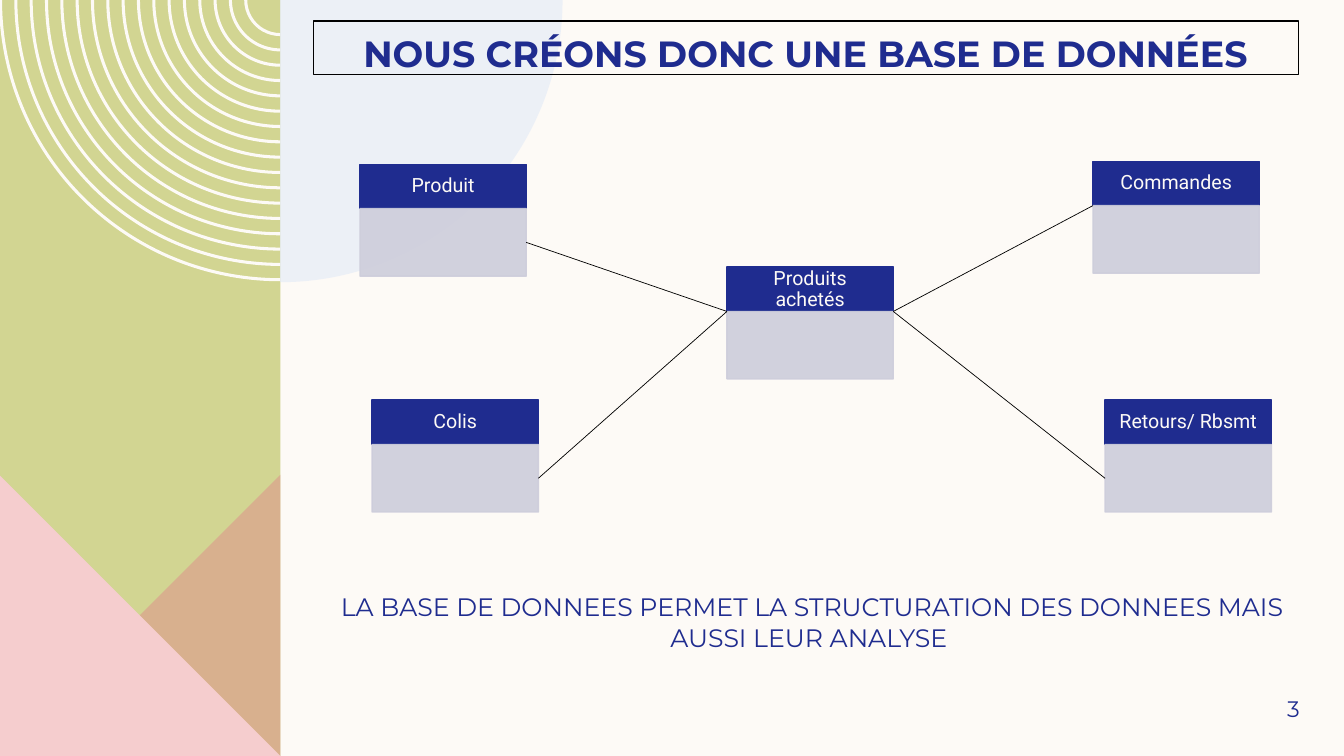
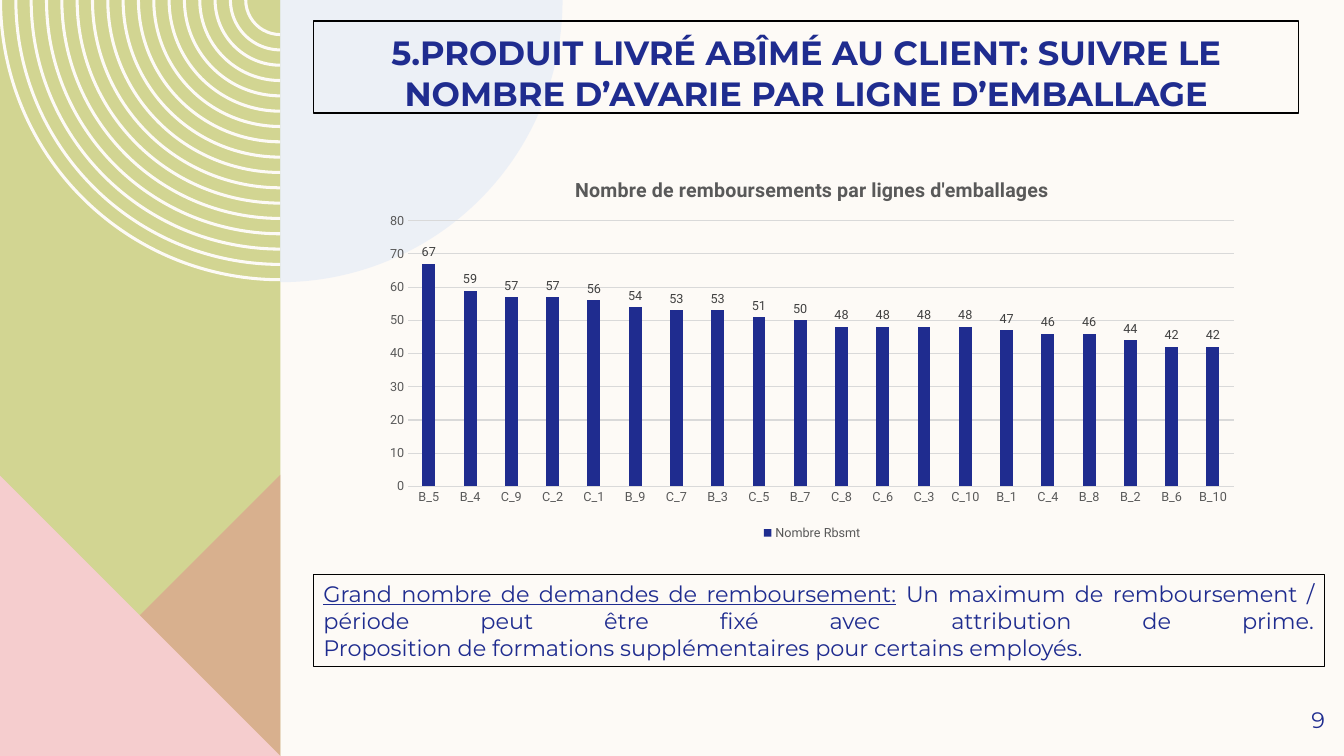
from lxml import etree
from pptx import Presentation
from pptx.chart.data import CategoryChartData
from pptx.dml.color import RGBColor
from pptx.enum.chart import XL_CHART_TYPE, XL_LABEL_POSITION, XL_LEGEND_POSITION, XL_TICK_MARK
from pptx.enum.shapes import MSO_CONNECTOR, MSO_SHAPE
from pptx.enum.text import MSO_ANCHOR, PP_ALIGN
from pptx.oxml.ns import qn
from pptx.util import Inches, Pt

CENTER, RIGHT, JUSTIFY = PP_ALIGN.CENTER, PP_ALIGN.RIGHT, PP_ALIGN.JUSTIFY
TOP, MIDDLE, BOTTOM = MSO_ANCHOR.TOP, MSO_ANCHOR.MIDDLE, MSO_ANCHOR.BOTTOM
RECTANGLE, STRAIGHT = MSO_SHAPE.RECTANGLE, MSO_CONNECTOR.STRAIGHT
COLUMNS = XL_CHART_TYPE.COLUMN_CLUSTERED
OUTSIDE_END = XL_LABEL_POSITION.OUTSIDE_END
LEGEND_BOTTOM = XL_LEGEND_POSITION.BOTTOM
NO_TICK = XL_TICK_MARK.NONE
LEFT_SIDE, RIGHT_SIDE = 1, 3

COLORS = {
    "cream": "FDFAF6", "green": "D2D592", "rose": "DE8C8C", "pink": "F5CDCE",
    "sky": "DDE7F6", "navy": "1F2C8F", "gray": "CDCDDB", "black": "000000",
    "axis": "595959", "grid": "D9D9D9", "label": "404040",
}
TITLE_FONT, LABEL_FONT = "Montserrat", "Roboto"
BAND_RIGHT = 2.78
ENTITY_WIDTH, HEADER_HEIGHT, BODY_HEIGHT = 1.65, 0.44, 0.67

ENTITIES = {
    "Produit": (3.57, 1.63),
    "Colis": (3.69, 3.97),
    "Produits achetés": (7.21, 2.65),
    "Commandes": (10.84, 1.6),
    "Retours/ Rbsmt": (10.96, 3.97),
}
REFUNDS = {
    "B_5": 67, "B_4": 59, "C_9": 57, "C_2": 57, "C_1": 56, "B_9": 54, "C_7": 53,
    "B_3": 53, "C_5": 51, "B_7": 50, "C_8": 48, "C_6": 48, "C_3": 48, "C_10": 48,
    "B_1": 47, "C_4": 46, "B_8": 46, "B_2": 44, "B_6": 42, "B_10": 42,
}


def rgb(name):
    return RGBColor.from_string(COLORS[name])


def style_font(font, size, color, name=TITLE_FONT, bold=False):
    font.size, font.name, font.bold = Pt(size), name, bold
    font.color.rgb = rgb(color)


def paint(shape, fill=None, line=None, opacity=100):
    """Set fill and outline by colour name; None means no paint."""
    shape.shadow.inherit = False
    if fill:
        shape.fill.solid()
        shape.fill.fore_color.rgb = rgb(fill)
    else:
        shape.fill.background()
    if line:
        shape.line.color.rgb = rgb(line)
        shape.line.width = Pt(1)
    else:
        shape.line.fill.background()
    if opacity < 100:
        for color in shape.element.spPr.iter(qn("a:srgbClr")):
            etree.SubElement(color, qn("a:alpha"), val=str(opacity * 1000))


def add_box(page, left, top, width, height, **colors):
    box = page.shapes.add_shape(RECTANGLE, Inches(left), Inches(top), Inches(width), Inches(height))
    paint(box, **colors)
    return box


def set_frame(box, anchor, margins=(0.1, 0.05, 0.1, 0.05)):
    """Prepare the text frame and return its first paragraph."""
    frame = box.text_frame
    frame.word_wrap = True
    frame.vertical_anchor = anchor
    (frame.margin_left, frame.margin_top,
     frame.margin_right, frame.margin_bottom) = map(Inches, margins)
    return frame.paragraphs[0]


def write(box, text, size, color="navy", align=CENTER, anchor=TOP, name=TITLE_FONT,
          bold=False, **frame_options):
    para = set_frame(box, anchor, **frame_options)
    para.text = text
    para.alignment = align
    style_font(para.font, size, color, name, bold)
    return para


def add_text(page, left, top, width, height, text, size, **options):
    box = page.shapes.add_textbox(Inches(left), Inches(top), Inches(width), Inches(height))
    write(box, text, size, **options)


def add_outline(page, contours, fill, opacity=100):
    """Draw closed contours as one shape.

    A point is (x, y), or (x, y, radius, start, sweep) when an arc leads to it;
    lengths are in inches and angles in degrees.
    """
    points = [[(Inches(point[0]), Inches(point[1])) for point in contour] for contour in contours]
    builder = page.shapes.build_freeform(*points[0][0])
    for index, contour in enumerate(points):
        if index:
            builder.move_to(*contour[0])
        builder.add_line_segments(contour[1:], close=True)
    shape = builder.convert_to_shape()
    segments = list(shape.element.iter(qn("a:lnTo")))
    ends = [point for contour in contours for point in contour[1:]]
    for segment, (_, _, *arc) in zip(segments, ends):
        if arc:
            radius, start, sweep = arc
            size = str(Inches(radius))
            curve = etree.Element(qn("a:arcTo"), wR=size, hR=size,
                                  stAng=str(start * 60000), swAng=str(sweep * 60000))
            segment.getparent().replace(segment, curve)
    paint(shape, fill, opacity=opacity)


def quarter_ring(outer):
    inner = outer - 0.03
    return [(BAND_RIGHT - outer, 0), (BAND_RIGHT, outer, outer, 180, -90),
            (BAND_RIGHT, inner), (BAND_RIGHT - inner, 0, inner, 90, 90)]


def add_page(deck, number, number_left, number_top, title, title_height, title_size):
    page = deck.slides.add_slide(deck.slide_layouts[6])
    page.background.fill.solid()
    page.background.fill.fore_color.rgb = rgb("cream")

    add_box(page, -0.01, 0, 2.79, 7.5, fill="green")
    add_outline(page, [quarter_ring(2.79 - 0.152 * ring) for ring in range(17)], "cream")
    top_right, bottom_right = (BAND_RIGHT, 4.71), (BAND_RIGHT, 7.5)
    top_left, bottom_left = (-0.01, 4.71), (-0.01, 7.5)
    add_outline(page, [[top_right, bottom_right, bottom_left]], "rose", 50)
    add_outline(page, [[bottom_right, bottom_left, top_left]], "pink")
    quarter_disc = [(BAND_RIGHT + 2.8, 0), (BAND_RIGHT, 2.8, 2.8, 0, 90), (BAND_RIGHT, 0)]
    add_outline(page, [quarter_disc], "sky", 50)

    title_box = add_box(page, 3.11, 0.21, 9.77, title_height, line="black")
    write(title_box, title, title_size, anchor=BOTTOM, bold=True, margins=(0.1, 0, 0.1, 0))
    add_text(page, number_left, number_top, 1.17, 0.52, number, 16,
             align=RIGHT, anchor=MIDDLE, margins=(0.1, 0.05, 0, 0.05))
    return page


def add_entity(page, name, left, top):
    """Draw a headed box and return its body."""
    header = add_box(page, left, top, ENTITY_WIDTH, HEADER_HEIGHT, fill="navy", line="navy")
    para = write(header, name, 14, "cream", anchor=MIDDLE, name=LABEL_FONT,
                 margins=(0.11, 0.06, 0.11, 0.06))
    para.line_spacing = 0.9
    return add_box(page, left, top + HEADER_HEIGHT, ENTITY_WIDTH, BODY_HEIGHT,
                   fill="gray", line="gray", opacity=90)


def add_link(page, start, end, body=None, side=None):
    """Draw a thin line, its start joined to a side of body when one is given."""
    link = page.shapes.add_connector(STRAIGHT, *start, *end)
    link.line.color.rgb = rgb("black")
    link.line.width = Pt(0.5)
    etree.SubElement(link.element.spPr, qn("a:effectLst"))
    if body is not None:
        link.begin_connect(body, side)


def add_database_diagram(page):
    bodies = {name: add_entity(page, name, *place) for name, place in ENTITIES.items()}
    hub = bodies["Produits achetés"]
    hub_left, hub_right = (hub.left, hub.top), (hub.left + hub.width, hub.top)
    for name, side, corner in (("Produit", RIGHT_SIDE, hub_left),
                               ("Colis", RIGHT_SIDE, hub_left),
                               ("Retours/ Rbsmt", LEFT_SIDE, hub_right)):
        add_link(page, corner, corner, bodies[name], side)
    orders = bodies["Commandes"]
    add_link(page, (orders.left, orders.top), hub_right)


def place_plot(chart, **fractions):
    """Fix the inner plot area, in fractions of the chart."""
    plot_area = chart.element.find(".//" + qn("c:plotArea"))
    layout = plot_area.find(qn("c:layout"))
    if layout is None:
        layout = etree.Element(qn("c:layout"))
        plot_area.insert(0, layout)
    manual = etree.SubElement(layout, qn("c:manualLayout"))
    settings = {"layoutTarget": "inner", "xMode": "edge", "yMode": "edge", **fractions}
    for tag, value in settings.items():
        etree.SubElement(manual, qn("c:" + tag), val=str(value))


def add_refund_chart(page):
    data = CategoryChartData()
    data.categories = list(REFUNDS)
    data.add_series("Nombre Rbsmt", list(REFUNDS.values()))
    chart = page.shapes.add_chart(COLUMNS, Inches(3.7), Inches(1.58),
                                  Inches(8.71), Inches(3.82), data).chart
    style_font(chart.font, 10, "black", LABEL_FONT)
    title = chart.chart_title.text_frame.paragraphs[0]
    title.text = "Nombre de remboursements par lignes d'emballages"
    style_font(title.font, 14, "axis", LABEL_FONT, True)
    chart.chart_title.include_in_layout = False
    chart.has_legend = True
    chart.legend.position = LEGEND_BOTTOM
    chart.legend.include_in_layout = False
    style_font(chart.legend.font, 9, "axis", LABEL_FONT)

    categories, values = chart.category_axis, chart.value_axis
    for axis in (categories, values):
        axis.major_tick_mark = axis.minor_tick_mark = NO_TICK
        style_font(axis.tick_labels.font, 9, "axis", LABEL_FONT)
    values.minimum_scale, values.maximum_scale, values.major_unit = 0, 80, 10
    values.format.line.fill.background()
    for line in (categories.format.line, values.major_gridlines.format.line):
        line.color.rgb = rgb("grid")
        line.width = Pt(0.75)

    plot = chart.plots[0]
    plot.gap_width = 219
    plot.vary_by_categories = False
    columns = plot.series[0]
    columns.format.fill.solid()
    columns.format.fill.fore_color.rgb = rgb("navy")
    labels = columns.data_labels
    labels.show_value = True
    labels.position = OUTSIDE_END
    style_font(labels.font, 9, "label", LABEL_FONT)
    place_plot(chart, x=0.04, y=0.16, w=0.94, h=0.69)


def add_refund_note(page):
    box = add_box(page, 3.11, 5.7, 10.03, 0.91, line="black")
    para = set_frame(box, MIDDLE)
    para.alignment = JUSTIFY
    style_font(para.font, 16, "navy")
    heading = para.add_run()
    heading.text = "Grand nombre de demandes de remboursement:"
    heading.font.underline = True
    para.add_run().text = (" Un maximum de remboursement / période peut être fixé "
                           "avec attribution de prime.")
    para.add_line_break()
    para.add_run().text = "Proposition de formations supplémentaires pour certains employés."


def main():
    deck = Presentation()
    deck.slide_width, deck.slide_height = Inches(13.33), Inches(7.5)

    page = add_page(deck, "3", 11.72, 6.77, "NOUS CRÉONS DONC UNE BASE DE DONNÉES", 0.53, 26)
    add_text(page, 3.11, 5.82, 9.89, 0.71,
             "LA BASE DE DONNEES PERMET LA STRUCTURATION DES DONNEES MAIS "
             "AUSSI LEUR ANALYSE ", 18)
    add_database_diagram(page)

    page = add_page(deck, "9", 11.97, 6.88,
                    "5.PRODUIT LIVRÉ ABÎMÉ AU CLIENT: SUIVRE LE NOMBRE D’AVARIE "
                    "PAR LIGNE D’EMBALLAGE", 0.91, 24)
    add_refund_note(page)
    add_refund_chart(page)
    deck.save("out.pptx")


if __name__ == "__main__":
    main()
